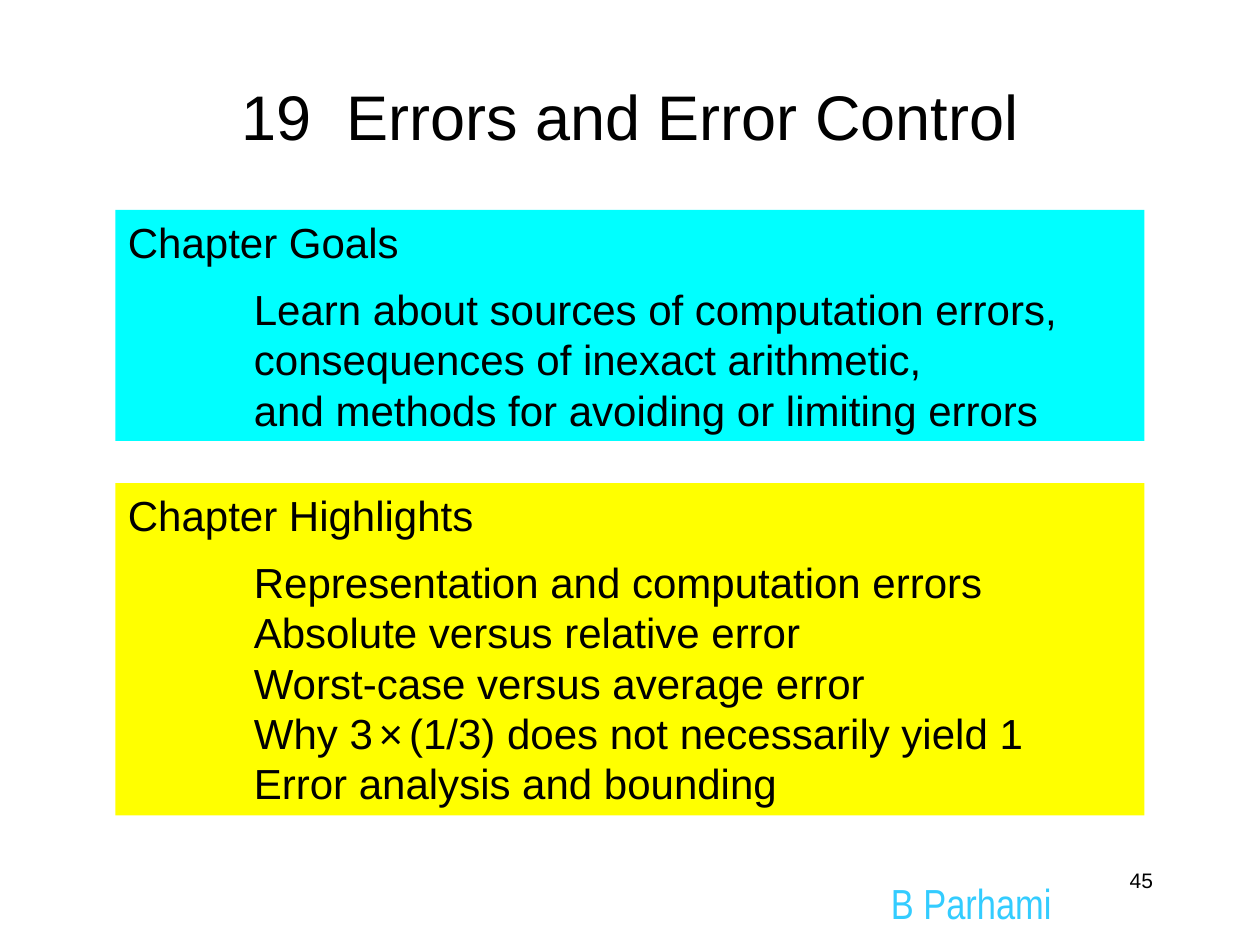
from pptx import Presentation
from pptx.dml.color import RGBColor
from pptx.enum.shapes import MSO_SHAPE
from pptx.enum.text import MSO_ANCHOR, PP_ALIGN
from pptx.oxml.ns import qn
from pptx.util import Pt

RECT = MSO_SHAPE.RECTANGLE
LEFT, CENTER, RIGHT = PP_ALIGN.LEFT, PP_ALIGN.CENTER, PP_ALIGN.RIGHT
TOP, MIDDLE = MSO_ANCHOR.TOP, MSO_ANCHOR.MIDDLE
SWISS = "34"  # pitch and family code of variable-width sans fonts


def color(code):
    return RGBColor.from_string(code)


class Deck:
    font = "Arial"
    ink = "000000"
    size = 24
    pitch = 28.8
    indent = 72
    gap = 9.5

    def __init__(self, width, height):
        self.prs = Presentation()
        self.prs.slide_width, self.prs.slide_height = Pt(width), Pt(height)
        self.slide = self.prs.slides.add_slide(self.prs.slide_layouts[6])

    def style(self, para, size, font=None, ink=None):
        para.font.size = Pt(size)
        para.font.name = font or self.font
        para.font.color.rgb = color(ink or self.ink)
        for latin in para._p.iter(qn("a:latin")):
            latin.set("pitchFamily", SWISS)

    def text(self, box, words, size, align=LEFT, anchor=TOP,
             font=None, ink=None):
        frame = self.slide.shapes.add_textbox(*map(Pt, box)).text_frame
        frame.word_wrap = True
        frame.vertical_anchor = anchor
        para = frame.paragraphs[0]
        para.text = words
        para.alignment = align
        self.style(para, size, font, ink)

    def panel(self, top, height, fill, head, lines):
        """Filled box with a heading and indented lines of (text, size) runs."""
        box = self.slide.shapes.add_shape(
            RECT, Pt(66), Pt(top), Pt(588), Pt(height))
        box.shadow.inherit = False
        box.fill.solid()
        box.fill.fore_color.rgb = color(fill)
        box.line.fill.background()
        frame = box.text_frame
        frame.word_wrap = True
        frame.vertical_anchor = TOP
        for i, line in enumerate([head] + lines):
            para = frame.add_paragraph() if i else frame.paragraphs[0]
            para.alignment = LEFT
            para.line_spacing = Pt(self.pitch)
            if i:
                para._p.get_or_add_pPr().set("marL", str(Pt(self.indent)))
            if i == 1:
                para.space_before = Pt(self.gap)
            self.style(para, self.size)
            runs = [(line, None)] if isinstance(line, str) else line
            for words, size in runs:
                run = para.add_run()
                run.text = words
                if size:
                    run.font.size = Pt(size)


def main():
    deck = Deck(720, 540)

    # Title
    deck.text((30, 30, 660, 72), "19  Errors and Error Control", 36,
              CENTER, MIDDLE)

    # Goals and highlights
    deck.panel(120, 132, "00FFFF", "Chapter Goals", [
        "Learn about sources of computation errors,",
        "consequences of inexact arithmetic,",
        "and methods for avoiding or limiting errors",
    ])
    thin = (" ", 12)
    deck.panel(276, 190, "FFFF00", "Chapter Highlights", [
        "Representation and computation errors",
        "Absolute versus relative error",
        "Worst-case versus average error",
        [("Why 3", None), thin, ("×", None), thin,
         ("(1/3) does not necessarily yield 1", None)],
        "Error analysis and bounding",
    ])

    # Footer
    deck.text((502, 498, 160, 36), "B Parhami", 24,
              font="Arial Narrow", ink="33CCFF")
    deck.text((516, 492, 150, 36), "45", 12, RIGHT)

    deck.prs.save("out.pptx")


if __name__ == "__main__":
    main()
